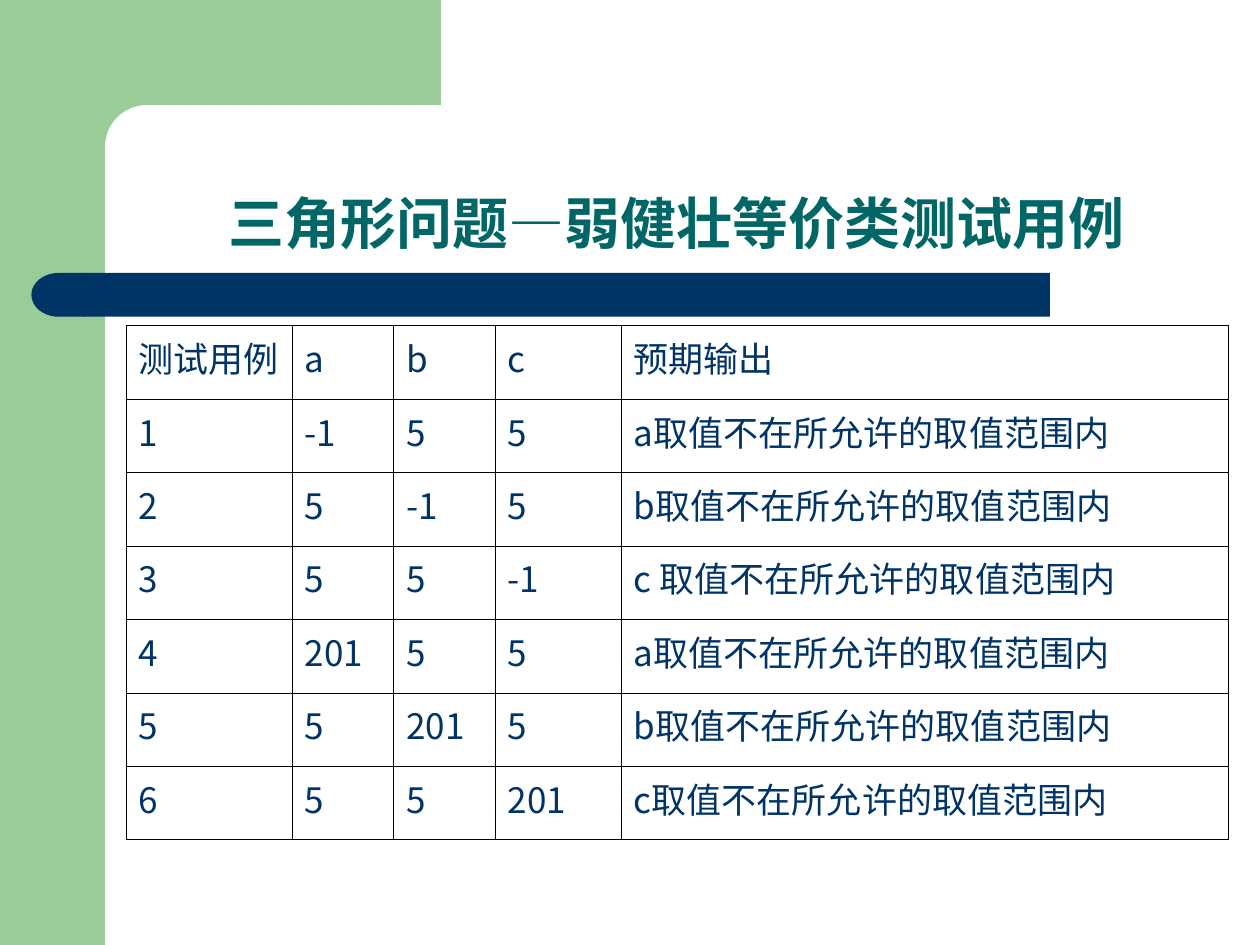
from lxml import etree
from pptx import Presentation
from pptx.dml.color import RGBColor
from pptx.enum.shapes import MSO_SHAPE as SHAPE
from pptx.enum.text import MSO_ANCHOR as ANCHOR, PP_ALIGN as ALIGN
from pptx.oxml.ns import qn
from pptx.util import Pt

COLORS = {"green": "99CC99", "white": "FFFFFF", "navy": "003366",
          "teal": "006666", "black": "000000"}
TITLE_FORMAT = {"name": "Arial", "size": Pt(32), "bold": True}
CELL_FORMAT = {"name": "Noto Sans CJK SC", "size": Pt(20), "bold": False}
HANGING_INDENT = Pt(27)
BORDER_WIDTH = Pt(0.45)
COLUMN_WIDTHS = [95, 58, 58, 72, 347]
ROW_HEIGHT = 42

HEADER = ["测试用例", "a", "b", "c", "预期输出"]
INVALID_VALUES = ["-1", "201"]
VALID_VALUE = "5"
SIDES = ["a", "b", "c"]


def color(key):
    return RGBColor.from_string(COLORS[key])


def test_case_rows():
    """Give each side in turn each invalid value, the others staying valid."""
    rows = [HEADER]
    for invalid in INVALID_VALUES:
        for side in SIDES:
            values = [invalid if s == side else VALID_VALUE for s in SIDES]
            gap = " " if (side, invalid) == ("c", "-1") else ""
            rows.append([str(len(rows)), *values,
                         f"{side}{gap}取值不在所允许的取值范围内"])
    return rows


class SlideBuilder:
    """Holds the style and the current slide."""

    def __init__(self, slide):
        self.slide = slide

    def shape(self, kind, box, fill, corner=None, flipped=False):
        shape = self.slide.shapes.add_shape(kind, *map(Pt, box))
        shape.shadow.inherit = False
        shape.fill.solid()
        shape.fill.fore_color.rgb = color(fill)
        shape.line.fill.background()
        if corner is not None:
            shape.adjustments[0] = corner
        if flipped:
            shape._element.spPr.find(qn("a:xfrm")).set("flipH", "1")

    def format_font(self, font, values, color_key):
        for attribute, value in values.items():
            setattr(font, attribute, value)
        font.color.rgb = color(color_key)

    def title(self, text, box):
        title = self.slide.shapes.title
        title.left, title.top, title.width, title.height = map(Pt, box)
        # The title must lie in front of the background shapes.
        self.slide.shapes._spTree.append(title._element)
        frame = title.text_frame
        frame.text = text
        frame.word_wrap = True
        frame.vertical_anchor = ANCHOR.BOTTOM
        paragraph = frame.paragraphs[0]
        paragraph.alignment = ALIGN.CENTER
        paragraph.line_spacing = 0.9
        self.format_font(paragraph.runs[0].font, TITLE_FORMAT, "teal")

    def borders(self, cell):
        properties = cell._tc.get_or_add_tcPr()
        for position, side in enumerate(("lnL", "lnR", "lnT", "lnB")):
            line = etree.Element(qn(f"a:{side}"), w=str(BORDER_WIDTH))
            fill = etree.SubElement(line, qn("a:solidFill"))
            etree.SubElement(fill, qn("a:srgbClr"), val=COLORS["black"])
            properties.insert(position, line)

    def cell(self, cell, text):
        cell.text = text
        cell.fill.background()
        self.borders(cell)
        paragraph = cell.text_frame.paragraphs[0]
        properties = paragraph._p.get_or_add_pPr()
        properties.set("marL", str(HANGING_INDENT))
        properties.set("indent", str(-HANGING_INDENT))
        font = paragraph.runs[0].font
        self.format_font(font, CELL_FORMAT, "navy")
        etree.SubElement(font._element, qn("a:ea"), typeface=CELL_FORMAT["name"])

    def table(self, rows, left, top):
        box = (left, top, sum(COLUMN_WIDTHS), ROW_HEIGHT * len(rows))
        table = self.slide.shapes.add_table(
            len(rows), len(COLUMN_WIDTHS), *map(Pt, box)).table
        table.first_row = table.horz_banding = False
        for column, width in zip(table.columns, COLUMN_WIDTHS):
            column.width = Pt(width)
        for row, texts in zip(table.rows, rows):
            row.height = Pt(ROW_HEIGHT)
            for cell, text in zip(row.cells, texts):
                self.cell(cell, text)


def main():
    presentation = Presentation()
    presentation.slide_width, presentation.slide_height = Pt(720), Pt(540)
    title_only = presentation.slide_layouts[5]
    builder = SlideBuilder(presentation.slides.add_slide(title_only))

    builder.shape(SHAPE.RECTANGLE, (0, 0, 60, 540), "green")
    builder.shape(SHAPE.RECTANGLE, (54, 0, 198, 84), "green")
    builder.shape(SHAPE.ROUNDED_RECTANGLE, (60, 60, 402, 48), "white", corner=0.5)
    builder.shape(SHAPE.ROUNDED_RECTANGLE, (48, 156, 552, 25), "navy", corner=0)
    builder.shape(SHAPE.FLOWCHART_DELAY, (18, 156, 31, 25), "navy", flipped=True)

    builder.title("三角形问题—弱健壮等价类测试用例", (72, 60, 630, 90))
    builder.table(test_case_rows(), 72, 186)
    presentation.save("out.pptx")


if __name__ == "__main__":
    main()
